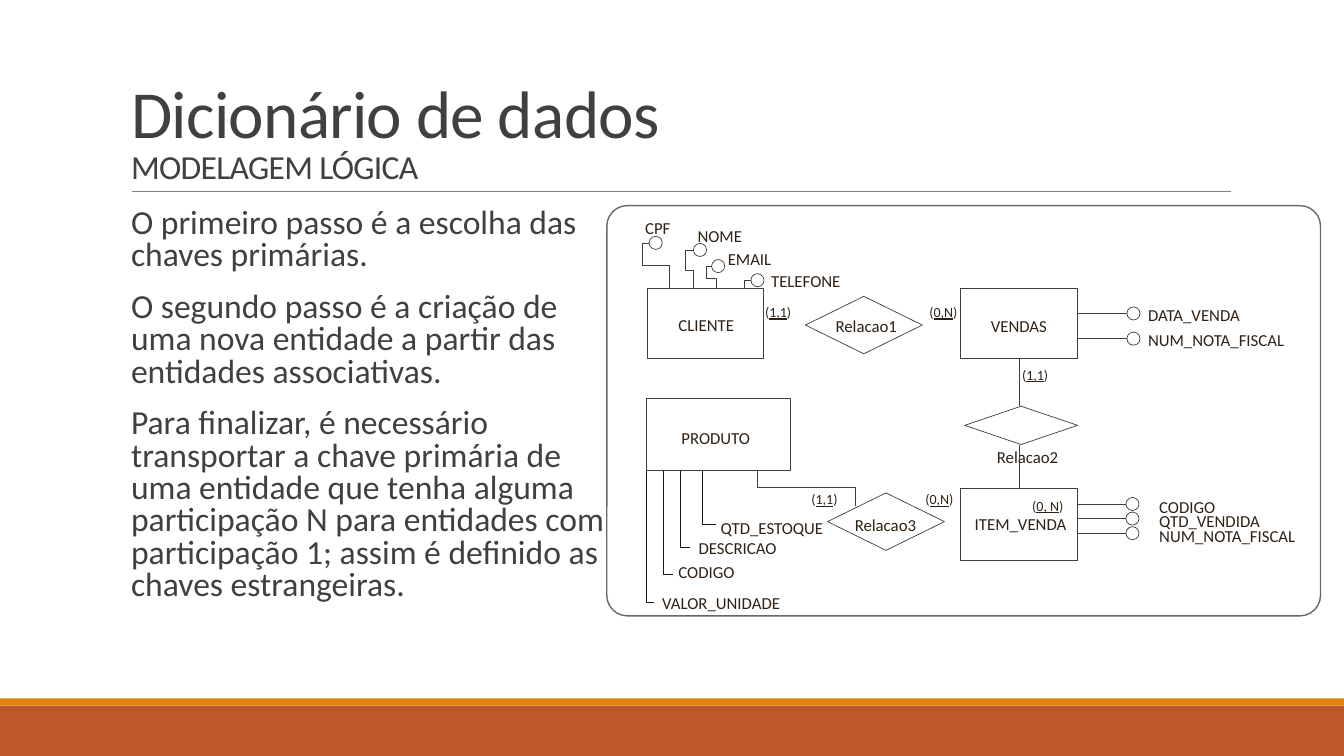
from dataclasses import dataclass
from lxml import etree
from pptx import Presentation
from pptx.dml.color import RGBColor
from pptx.enum.shapes import MSO_CONNECTOR, MSO_SHAPE
from pptx.enum.text import MSO_ANCHOR, MSO_AUTO_SIZE, PP_ALIGN
from pptx.oxml.ns import qn
from pptx.util import Inches, Pt

BOX, ROUND = MSO_SHAPE.RECTANGLE, MSO_SHAPE.ROUNDED_RECTANGLE
RHOMB, OVAL = MSO_SHAPE.DIAMOND, MSO_SHAPE.OVAL
STRAIGHT = MSO_CONNECTOR.STRAIGHT
LEFT, BOTTOM, TOP = PP_ALIGN.LEFT, MSO_ANCHOR.BOTTOM, MSO_ANCHOR.TOP
NO_FIT = MSO_AUTO_SIZE.NONE

COLS, ROWS = 133.33, 75  # grid cells of a tenth of an inch
DOT = 1.3


@dataclass(frozen=True)
class Theme:
    font: str = "Calibri"
    text: str = "404040"
    label: str = "2F2115"
    edge: str = "453C35"
    dark: str = "19170C"
    frame: str = "6B6764"
    rule: str = "808080"
    rust: str = "BD582C"
    gold: str = "E48312"
    head: float = 48
    body: float = 24
    name: float = 12
    card: float = 10
    thin: float = 0.5


@dataclass(frozen=True)
class Node:
    kind: int
    x: float
    y: float
    w: float
    h: float


@dataclass(frozen=True)
class Label:
    x: float
    y: float
    w: float
    text: str


@dataclass(frozen=True)
class Twig:
    """A bent line to an attribute, with its label."""
    points: tuple
    label: Label


@dataclass(frozen=True)
class Fan:
    """Attributes to the right of an entity, one a row."""
    dot: float
    text: float
    lift: float
    items: tuple


THEME = Theme()
TITLE = ("Dicionário de dados", "MODELAGEM LÓGICA")
STEPS = (
    "O primeiro passo é a escolha das chaves primárias.",
    "O segundo passo é a criação de uma nova entidade a partir das entidades associativas.",
    "Para finalizar, é necessário transportar a chave primária de uma entidade que tenha "
    "alguma participação N para entidades com participação 1; assim é definido as chaves "
    "estrangeiras.",
)
NODES = (
    Node(BOX, 64.2, 28.6, 11.5, 7), Node(RHOMB, 79.9, 29.4, 11.6, 5.7),
    Node(BOX, 95.3, 28.6, 11.6, 7), Node(RHOMB, 95.7, 40.3, 11.2, 3.8),
    Node(BOX, 64.1, 39.5, 14.3, 7.2), Node(BOX, 95.3, 48.4, 11.6, 7.2),
    Node(RHOMB, 82.1, 48.9, 11.6, 5.7),
)
LABELS = (
    Label(65.5, 31.1, 9.1, "CLIENTE"), Label(81.1, 31.2, 10.4, "Relacao1"),
    Label(96.5, 31.2, 9.3, "VENDAS"), Label(65.8, 42.3, 10.2, "PRODUTO"),
    Label(97.1, 44.2, 10.4, "Relacao2"), Label(83, 50.9, 10.4, "Relacao3"),
    Label(94.9, 50.8, 14, "ITEM_VENDA"),
    Label(74.1, 30, 6, "(1,1)"), Label(90.4, 30, 6, "(0,N)"),
    Label(99.6, 36.2, 6.3, "(1,1)"), Label(100.6, 49.2, 8.9, "(0, N)"),
    Label(78.7, 48.6, 6, "(1,1)"), Label(90, 48.6, 6, "(0,N)"),
)
CLIENT = (
    Twig(((66.4, 28.6), (66.4, 26.3), (63.7, 26.3), (63.7, 24.1), (64.4, 24.1)),
         Label(62.2, 21.5, 5.8, "CPF")),
    Twig(((68.8, 28.6), (68.8, 26.8), (68, 26.8), (68, 24.8), (68.8, 24.8)),
         Label(67.4, 22.3, 7.7, "NOME")),
    Twig(((71.1, 28.6), (71.1, 27.6), (70.1, 27.6), (70.1, 26.4), (70.6, 26.4)),
         Label(70.4, 24.5, 7.7, "EMAIL")),
    Twig(((73.8, 28.6), (73.8, 27.8), (74.5, 27.8)),
         Label(74.7, 26.7, 10.3, "TELEFONE")),
)
PRODUCT = (
    Twig(((64.1, 46.7), (64.1, 59.8), (64.9, 59.8)),
         Label(63.9, 58.7, 16, "VALOR_UNIDADE")),
    Twig(((65.8, 46.7), (65.8, 57), (66.8, 57)), Label(65.5, 55.6, 8.9, "CODIGO")),
    Twig(((67.5, 46.7), (67.5, 54.3), (68.4, 54.3)),
         Label(67.5, 53.2, 12.8, "DESCRICAO")),
    Twig(((69.7, 46.7), (69.7, 52), (71, 52)), Label(69.7, 51.2, 13.6, "QTD_ESTOQUE")),
)
FANS = (
    Fan(111.8, 112.1, 1, ((31.1, "DATA_VENDA"), (33.6, "NUM_NOTA_FISCAL"))),
    Fan(111.7, 113.2, 0.9, ((50, "CODIGO"), (51.45, "QTD_VENDIDA"),
                            (52.9, "NUM_NOTA_FISCAL"))),
)
LINK = ((84.9, 50.2), (84.9, 48.4), (75.1, 48.4), (75.1, 46.7))


def cells(*counts: float) -> list:
    return [Inches(n / 10) for n in counts]


def tint(code: str) -> RGBColor:
    return RGBColor.from_string(code)


def pen(line, color: str, width: float = THEME.thin) -> None:
    line.color.rgb, line.width = tint(color), Pt(width)


def style(font, size: float, color: str) -> None:
    font.name, font.size, font.color.rgb = THEME.font, Pt(size), tint(color)


def draw(shapes, node: Node, color: str = THEME.edge, width: float = THEME.thin):
    shape = shapes.add_shape(node.kind, *cells(node.x, node.y, node.w, node.h))
    shape.shadow.inherit = False
    shape.fill.background()
    pen(shape.line, color, width)
    return shape


def band(shapes, y: float, h: float, color: str) -> None:
    shape = draw(shapes, Node(BOX, 0, y, COLS, h))
    shape.fill.solid()
    shape.fill.fore_color.rgb = tint(color)
    shape.line.fill.background()


def join(shapes, *ends: float, color: str = THEME.edge) -> None:
    line = shapes.add_connector(STRAIGHT, *cells(*ends))
    pen(line.line, color)
    etree.SubElement(line._element.spPr, qn("a:effectLst"))


def bend(shapes, points: tuple, color: str = THEME.edge) -> None:
    start, *rest = [cells(*point) for point in points]
    maker = shapes.build_freeform(*start)
    maker.add_line_segments(rest, close=False)
    shape = maker.convert_to_shape()
    shape.shadow.inherit = False
    shape.fill.background()
    pen(shape.line, color)


def write(shapes, label: Label) -> None:
    """Add a label; cardinalities in brackets are smaller and underlined."""
    frame = shapes.add_textbox(*cells(label.x, label.y, label.w, 2)).text_frame
    frame.word_wrap = True
    frame.margin_left = frame.margin_right = frame.margin_top = frame.margin_bottom = 0
    para = frame.paragraphs[0]
    para._p.get_or_add_pPr().set("indent", str(Inches(0.18)))
    para.line_spacing = 1.07
    card = label.text.startswith("(")
    style(para.font, THEME.card if card else THEME.name, THEME.label)
    parts = ("(", label.text[1:-1], ")") if card else (label.text,)
    for i, part in enumerate(parts):
        run = para.add_run()
        run.text = part
        if i == 1:
            run.font.underline = True


def place(holder, anchor, *area: float):
    holder.left, holder.top, holder.width, holder.height = cells(*area)
    frame = holder.text_frame
    frame.auto_size, frame.vertical_anchor, frame.word_wrap = NO_FIT, anchor, True
    return frame


def fill_text(slide) -> None:
    para = place(slide.shapes.title, BOTTOM, 12, 3.1, 110, 15.9).paragraphs[0]
    para.alignment, para.line_spacing = LEFT, 0.85
    for text, size in zip(TITLE, (THEME.head, THEME.body)):
        if para.runs:
            para.add_line_break()
        run = para.add_run()
        run.text = text
        style(run.font, size, THEME.text)
        run.font._element.set("spc", "-50")

    frame = place(slide.placeholders[1], TOP, 12, 20.2, 48.2, 44)
    frame.margin_left = frame.margin_right = 0
    frame.text = "\n".join(STEPS)
    for para in frame.paragraphs:
        props = para._p.get_or_add_pPr()
        props.set("marL", str(Inches(0.1)))
        props.set("indent", "0")
        etree.SubElement(props, qn("a:buNone"))
        para.line_spacing, para.space_before, para.space_after = 0.8, Pt(12), Pt(2)
        style(para.font, THEME.body, THEME.text)


def chart_model(shapes) -> None:
    """Draw the entity-relationship diagram."""
    panel = draw(shapes, Node(ROUND, 60.2, 20.4, 70.8, 40.7), THEME.frame, 1)
    panel.adjustments[0] = 0.05
    for node in NODES:
        draw(shapes, node)
    join(shapes, 101.1, 35.6, 101.1, 40.3)
    join(shapes, 101.1, 44.1, 101.1, 48.4)
    bend(shapes, LINK)
    for twig in CLIENT:
        x, y = twig.points[-1]
        bend(shapes, twig.points)
        draw(shapes, Node(OVAL, x, y - DOT / 2, DOT, DOT))
    for twig in PRODUCT:
        bend(shapes, twig.points, THEME.dark)
    for fan in FANS:
        for y, text in fan.items:
            join(shapes, 106.9, y, fan.dot, y)
            draw(shapes, Node(OVAL, fan.dot, y - DOT / 2, DOT, DOT))
            write(shapes, Label(fan.text, y - fan.lift, 17, text))
    for label in LABELS + tuple(twig.label for twig in CLIENT + PRODUCT):
        write(shapes, label)


def main() -> None:
    deck = Presentation()
    deck.slide_width, deck.slide_height = cells(COLS, ROWS)
    slide = deck.slides.add_slide(deck.slide_layouts[1])
    band(slide.shapes, 70, 5, THEME.rust)
    band(slide.shapes, 69.3, 0.7, THEME.gold)
    join(slide.shapes, 13.1, 19, 122.1, 19, color=THEME.rule)
    fill_text(slide)
    chart_model(slide.shapes)
    deck.save("out.pptx")


if __name__ == "__main__":
    main()
